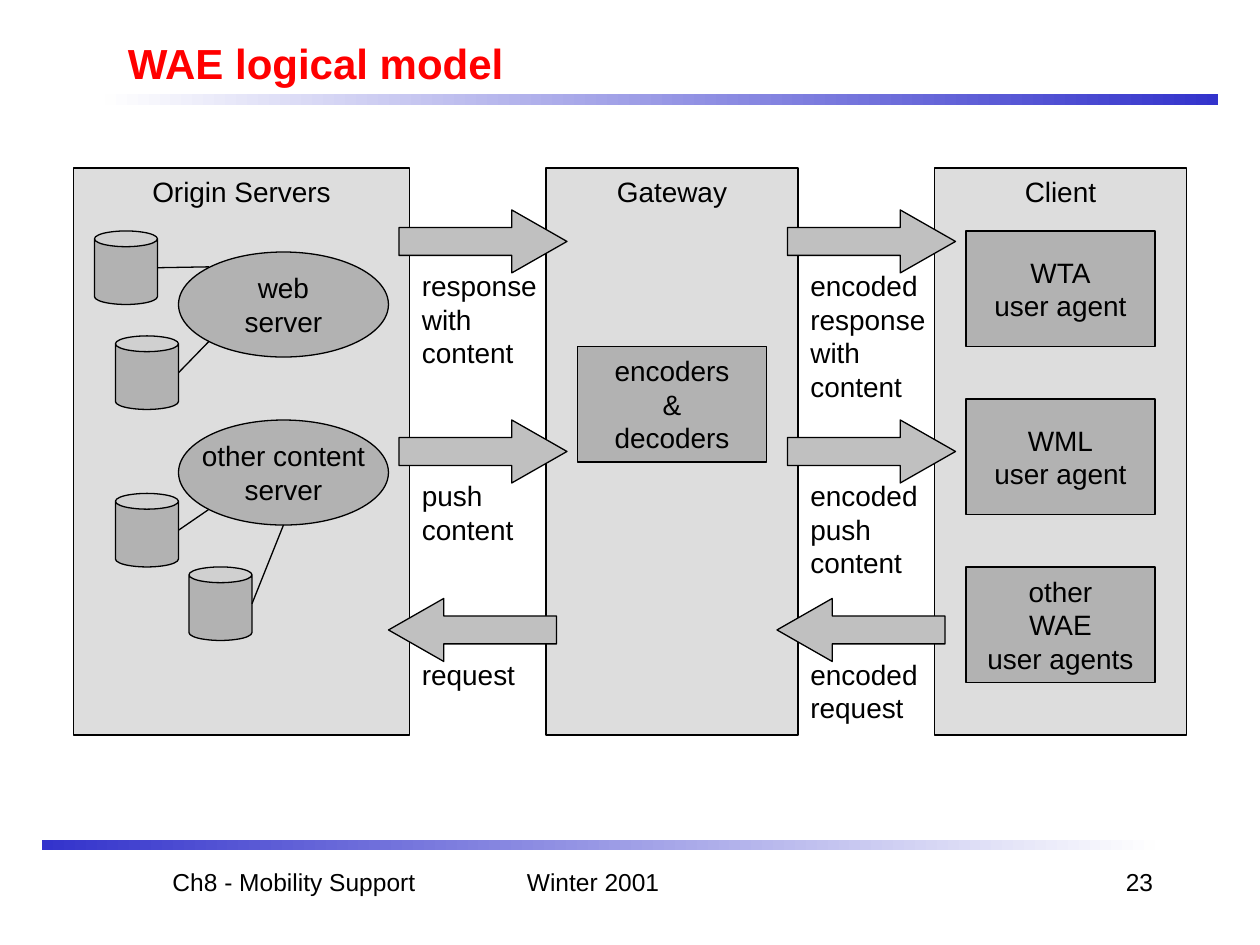
"""Build the WAE logical model slide: origin servers, gateway and client."""
from dataclasses import dataclass
from typing import Any

from lxml import etree
from pptx import Presentation
from pptx.dml.color import RGBColor
from pptx.enum.shapes import MSO_CONNECTOR, MSO_SHAPE
from pptx.enum.text import MSO_ANCHOR, PP_ALIGN
from pptx.oxml.ns import qn
from pptx.util import Pt

RECT, OVAL, CAN = MSO_SHAPE.RECTANGLE, MSO_SHAPE.OVAL, MSO_SHAPE.CAN
EAST, WEST = MSO_SHAPE.RIGHT_ARROW, MSO_SHAPE.LEFT_ARROW
STRAIGHT = MSO_CONNECTOR.STRAIGHT
TOP, MIDDLE = MSO_ANCHOR.TOP, MSO_ANCHOR.MIDDLE
LEFT, CENTER, RIGHT = PP_ALIGN.LEFT, PP_ALIGN.CENTER, PP_ALIGN.RIGHT


@dataclass(frozen=True)
class Theme:
    font: str = "Arial"
    ink: str = "000000"
    title: str = "FF0000"
    panel: str = "DDDDDD"
    node: str = "B2B2B2"
    arrow: str = "C0C0C0"
    bar: str = "3333CC"
    fade: str = "FEFEFE"
    head: float = 24
    body: float = 16
    foot: float = 14
    line: float = 0.75


@dataclass(frozen=True)
class Box:
    x: float
    y: float
    w: float
    h: float

    def place(self) -> list[int]:
        return [Pt(v) for v in (self.x, self.y, self.w, self.h)]


@dataclass(frozen=True)
class Node:
    kind: Any
    box: Box
    text: str = ""
    fill: str = Theme.node
    anchor: Any = MIDDLE
    turns: tuple[float, ...] = ()


@dataclass(frozen=True)
class Note:
    box: Box
    text: str
    size: float = Theme.body
    color: str = Theme.ink
    bold: bool = False
    align: Any = LEFT
    anchor: Any = TOP


@dataclass(frozen=True)
class Flow:
    kind: Any
    y: float
    shift: float
    texts: tuple[str, str]


LOOK = Theme()
COLS = (228, 450)
HEADS = (0.444, 0.877)
SERVER, AGENT, DISK = (120, 60), (108, 66), (36, 42)

BARS = (
    (Box(60, 54, 636, 6), (LOOK.fade, LOOK.bar)),
    (Box(24, 480, 636, 6), (LOOK.bar, LOOK.fade)),
)
PANELS = ((42, 192, "Origin Servers"), (312, 144, "Gateway"), (534, 144, "Client"))
NODES = (
    Node(OVAL, Box(102, 144, *SERVER), "web\nserver"),
    Node(OVAL, Box(102, 240, *SERVER), "other content\nserver"),
    Node(RECT, Box(330, 198, *AGENT), "encoders\n&\ndecoders"),
    Node(RECT, Box(552, 132, *AGENT), "WTA\nuser agent"),
    Node(RECT, Box(552, 228, *AGENT), "WML\nuser agent"),
    Node(RECT, Box(552, 324, *AGENT), "other\nWAE\nuser agents"),
)
DISKS = ((54, 132), (66, 192), (66, 282), (108, 324))
ENDS = ((119.5, 152.5), (119.5, 195), (119.5, 291), (162, 300))
FLOWS = (
    Flow(EAST, 120, 0, ("response\nwith\ncontent", "encoded\nresponse\nwith\ncontent")),
    Flow(EAST, 240, 0, ("push\ncontent", "encoded\npush\ncontent")),
    Flow(WEST, 342, -6, ("request", "encoded\nrequest")),
)
NOTES = (
    Note(Box(66, 18, 612, 36), "WAE logical model", LOOK.head, LOOK.title, True, anchor=MIDDLE),
    Note(Box(54, 492, 228, 36), "Ch8 - Mobility Support", LOOK.foot, align=CENTER),
    Note(Box(294, 492, 150, 36), "Winter 2001", LOOK.foot),
    Note(Box(516, 492, 150, 36), "23", LOOK.foot, align=RIGHT),
)


def apply(item: Any, form: dict[str, Any]) -> None:
    for name, value in form.items():
        setattr(item, name, value)


def write(shape: Any, note: Note, wrap: bool = True) -> None:
    frame = shape.text_frame
    frame.text = note.text
    apply(frame, {
        "word_wrap": wrap, "vertical_anchor": note.anchor,
        "margin_left": Pt(7.2), "margin_right": Pt(7.2),
        "margin_top": Pt(3.6), "margin_bottom": Pt(3.6),
    })
    form = {"name": LOOK.font, "size": Pt(note.size), "bold": note.bold}
    for para in frame.paragraphs:
        para.alignment = note.align
        for run in para.runs:
            apply(run.font, form)
            run.font.color.rgb = RGBColor.from_string(note.color)


def stroke(line: Any) -> None:
    line.color.rgb = RGBColor.from_string(LOOK.ink)
    line.width = Pt(LOOK.line)


def add_bar(shapes: Any, box: Box, colors: tuple[str, str]) -> None:
    bar = shapes.add_shape(RECT, *box.place())
    bar.shadow.inherit = False
    bar.line.fill.background()
    bar.fill.gradient()
    bar.fill.gradient_angle = 0
    for stop, color in zip(bar.fill.gradient_stops, colors):
        stop.color.rgb = RGBColor.from_string(color)


def add_node(shapes: Any, node: Node) -> None:
    shape = shapes.add_shape(node.kind, *node.box.place())
    shape.shadow.inherit = False
    shape.fill.solid()
    shape.fill.fore_color.rgb = RGBColor.from_string(node.fill)
    stroke(shape.line)
    for index, turn in enumerate(node.turns):
        shape.adjustments[index] = turn
    if node.text:
        write(shape, Note(node.box, node.text, align=CENTER, anchor=node.anchor), False)


def add_note(shapes: Any, note: Note) -> None:
    write(shapes.add_textbox(*note.box.place()), note)


def add_disk(shapes: Any, spot: tuple[float, float], end: tuple[float, float]) -> None:
    box = Box(*spot, *DISK)
    add_node(shapes, Node(CAN, box, turns=(0.25,)))
    start = (box.x + box.w, box.y + box.h / 2)
    link = shapes.add_connector(STRAIGHT, *[Pt(v) for v in (*start, *end)])
    stroke(link.line)
    etree.SubElement(link._element.spPr, qn("a:effectLst"))


def add_flow(shapes: Any, flow: Flow) -> None:
    for x, text in zip(COLS, flow.texts):
        box = Box(x + flow.shift, flow.y, 96, 36)
        add_node(shapes, Node(flow.kind, box, fill=LOOK.arrow, turns=HEADS))
        high = 7.5 + 19.2 * len(text.split("\n"))
        add_note(shapes, Note(Box(x + 6, flow.y + 30, 84, high), text))


def main() -> None:
    deck = Presentation()
    apply(deck, {"slide_width": Pt(720), "slide_height": Pt(540)})
    shapes = deck.slides.add_slide(deck.slide_layouts[6]).shapes
    for box, colors in BARS:
        add_bar(shapes, box, colors)
    for x, wide, text in PANELS:
        add_node(shapes, Node(RECT, Box(x, 96, wide, 324), text, LOOK.panel, TOP))
    for node in NODES:
        add_node(shapes, node)
    for spot, end in zip(DISKS, ENDS):
        add_disk(shapes, spot, end)
    for flow in FLOWS:
        add_flow(shapes, flow)
    for note in NOTES:
        add_note(shapes, note)
    deck.save("out.pptx")


if __name__ == "__main__":
    main()
